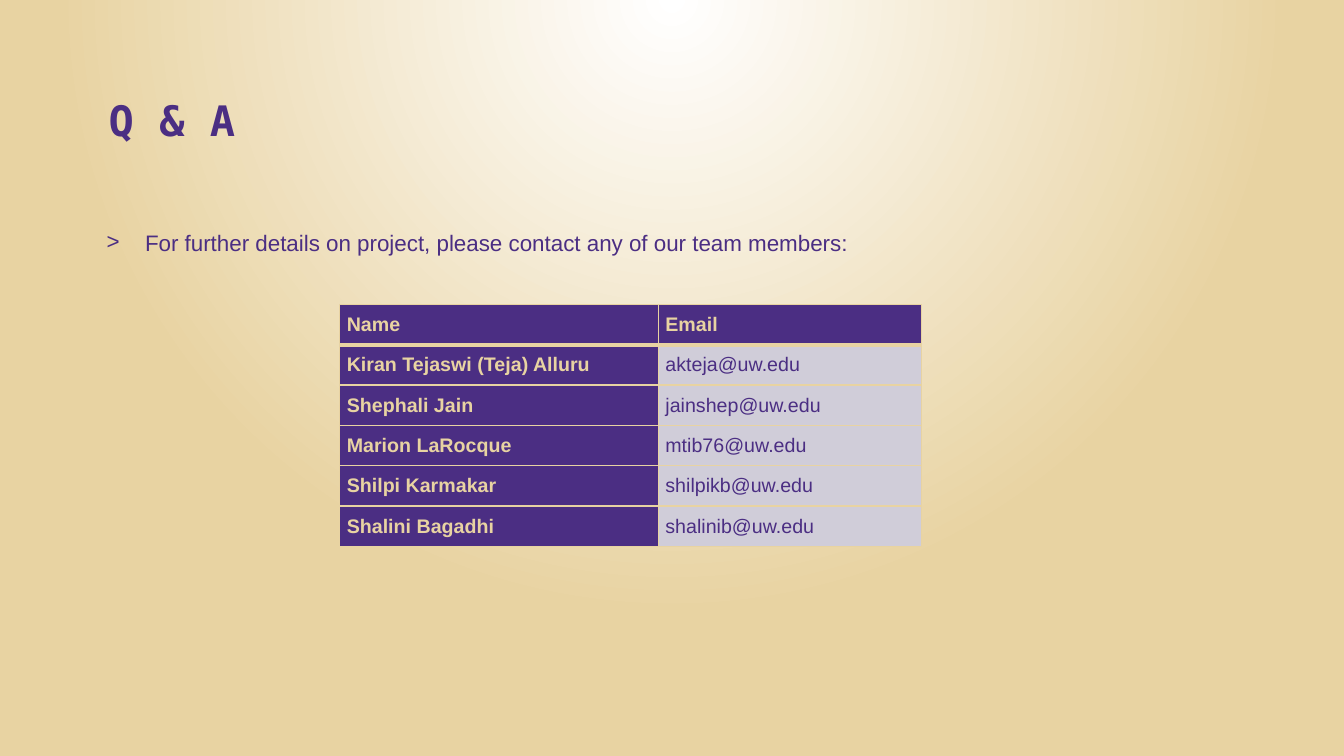
from dataclasses import dataclass

from pptx import Presentation
from pptx.dml.color import RGBColor
from pptx.enum.text import MSO_ANCHOR
from pptx.oxml import parse_xml
from pptx.oxml.ns import nsdecls
from pptx.util import Inches, Pt


@dataclass(frozen=True)
class Theme:
    purple: str = "4B2E83"
    gold: str = "E8D3A2"
    lavender: str = "D0CDD9"
    white: str = "FFFFFF"
    text_font: str = "Arial"
    title_font: str = "DejaVu Sans Mono"
    title_size: int = 30
    body_size: int = 16
    table_size: int = 14


theme = Theme()


def style(para, name, size, color, bold=False):
    para.font.name = name
    para.font.size = Pt(size)
    para.font.bold = bold
    para.font.color.rgb = RGBColor.from_string(color)


def add_border(cell, side, points):
    cell._tc.get_or_add_tcPr().append(parse_xml(
        f'<a:ln{side} {nsdecls("a")} w="{Pt(points)}"><a:solidFill>'
        f'<a:srgbClr val="{theme.gold}"/></a:solidFill></a:ln{side}>'
    ))


deck = Presentation()
deck.slide_width = Inches(13.33)
deck.slide_height = Inches(7.5)
page = deck.slides.add_slide(deck.slide_layouts[6])

page.element.cSld.insert(0, parse_xml(
    f'<p:bg {nsdecls("p", "a")}><p:bgPr><a:gradFill rotWithShape="1"><a:gsLst>'
    f'<a:gs pos="0"><a:srgbClr val="{theme.white}"/></a:gs>'
    f'<a:gs pos="80000"><a:srgbClr val="{theme.gold}"/></a:gs></a:gsLst>'
    '<a:path path="circle"><a:fillToRect l="50000" t="-80000" r="50000" b="180000"/></a:path>'
    '</a:gradFill><a:effectLst/></p:bgPr></p:bg>'
))

title_box = page.shapes.add_textbox(Inches(0.98), Inches(0.41), Inches(11.76), Inches(1.08))
title_box.text_frame.word_wrap = True
title_box.text_frame.vertical_anchor = MSO_ANCHOR.BOTTOM
title = title_box.text_frame.paragraphs[0]
title.text = "Q & A"
style(title, theme.title_font, theme.title_size, theme.purple, True)

body_box = page.shapes.add_textbox(Inches(0.96), Inches(2.22), Inches(11.78), Inches(0.4))
body_box.text_frame.word_wrap = True
contact = body_box.text_frame.paragraphs[0]
contact.text = "For further details on project, please contact any of our team members:"
properties = contact._p.get_or_add_pPr()
properties.set("marL", str(Inches(0.38)))
properties.set("indent", str(Inches(-0.38)))
properties.append(parse_xml(f'<a:buFont {nsdecls("a")} typeface="{theme.text_font}"/>'))
properties.append(parse_xml(f'<a:buChar {nsdecls("a")} char="&gt;"/>'))
style(contact, theme.text_font, theme.body_size, theme.purple)

members = [
    ("Name", "Email"),
    ("Kiran Tejaswi (Teja) Alluru", "akteja@uw.edu"),
    ("Shephali Jain", "jainshep@uw.edu"),
    ("Marion LaRocque", "mtib76@uw.edu"),
    ("Shilpi Karmakar", "shilpikb@uw.edu"),
    ("Shalini Bagadhi", "shalinib@uw.edu"),
]
column_widths = [3.16, 2.61]
row_height = 0.4
table = page.shapes.add_table(
    len(members), len(column_widths), Inches(3.37), Inches(3.02),
    Inches(sum(column_widths)), Inches(row_height * len(members)),
).table
for column, width in zip(table.columns, column_widths):
    column.width = Inches(width)

for row_index, member in enumerate(members):
    table.rows[row_index].height = Inches(row_height)
    for column_index, text in enumerate(member):
        cell = table.cell(row_index, column_index)
        heading = row_index == 0 or column_index == 0
        cell.margin_left = cell.margin_right = Inches(0.07)
        cell.margin_top = cell.margin_bottom = 0
        cell.vertical_anchor = MSO_ANCHOR.MIDDLE
        add_border(cell, "L", 1)
        add_border(cell, "R", 1)
        add_border(cell, "T", 3 if row_index == 1 else 1)
        add_border(cell, "B", 3 if row_index == 0 else 1)
        cell.fill.solid()
        cell.fill.fore_color.rgb = RGBColor.from_string(theme.purple if heading else theme.lavender)
        para = cell.text_frame.paragraphs[0]
        para.text = text
        style(para, theme.text_font, theme.table_size, theme.gold if heading else theme.purple, heading)

deck.save("out.pptx")
